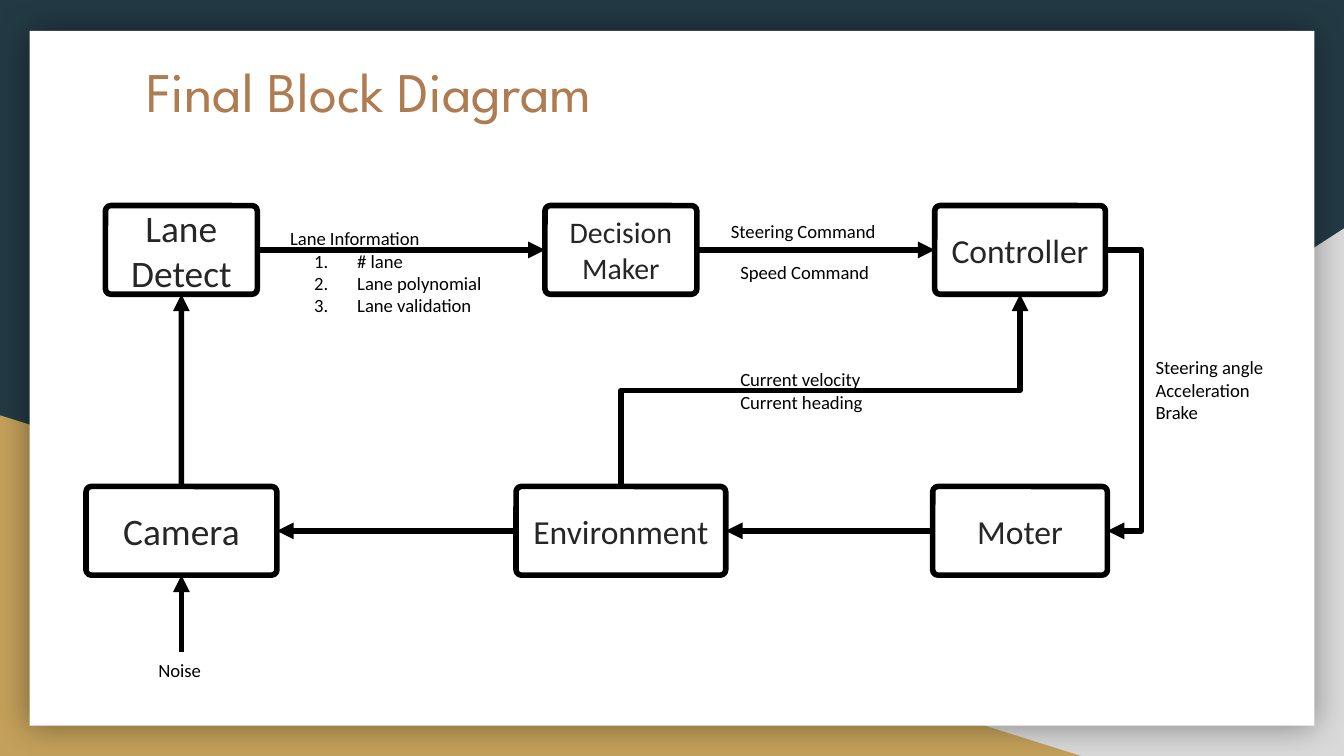
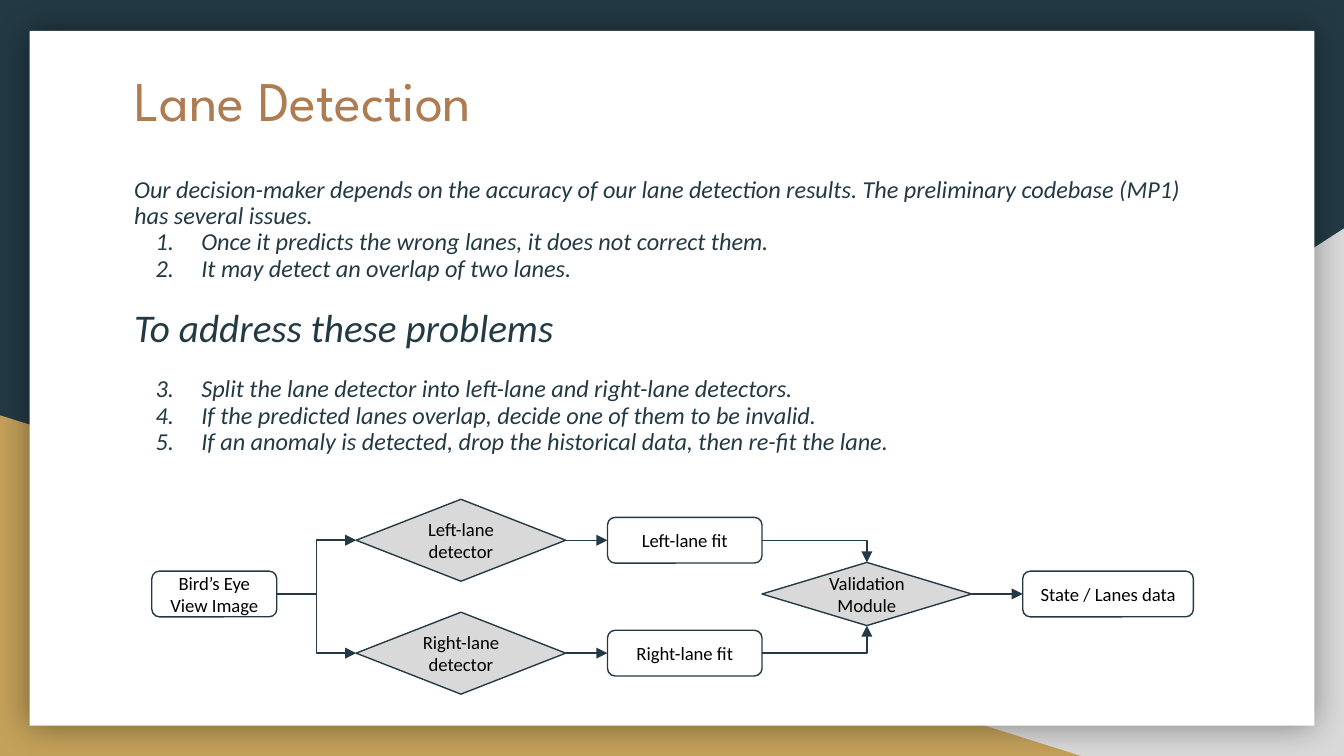
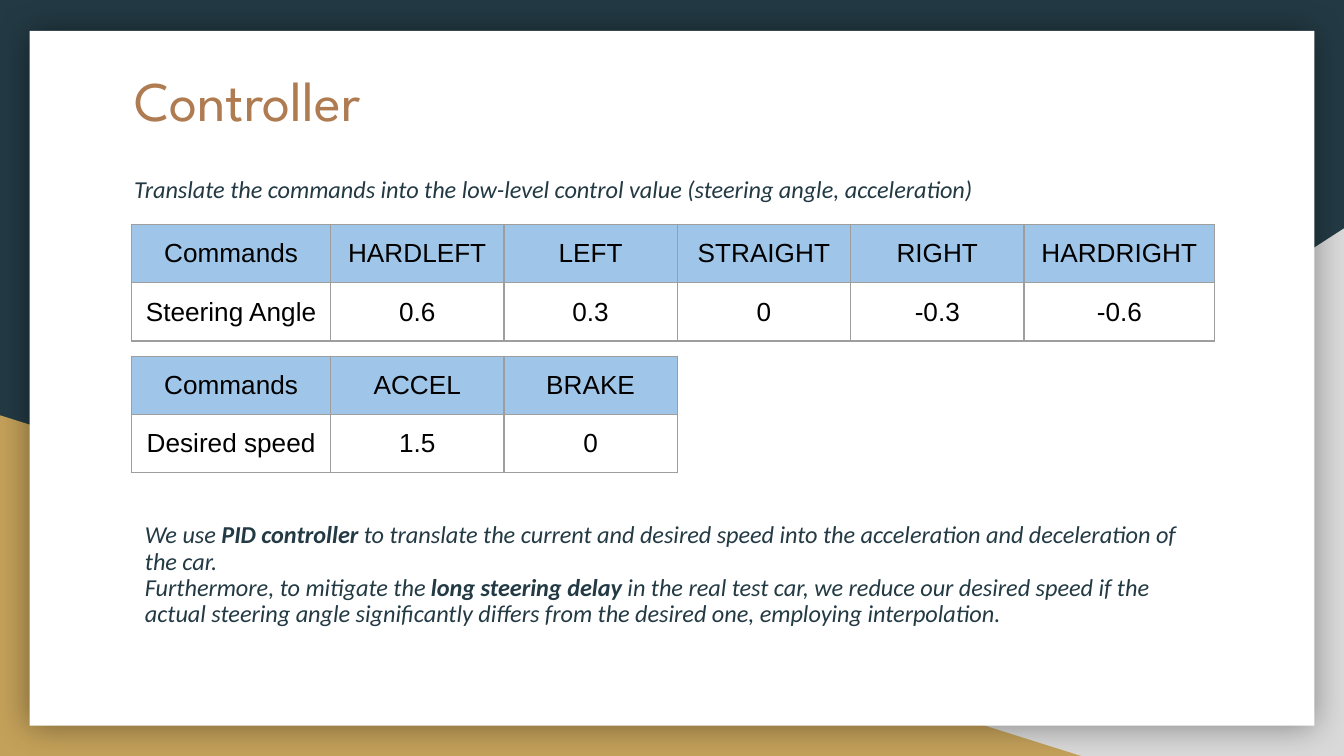
from lxml import etree
from pptx import Presentation
from pptx.dml.color import RGBColor
from pptx.enum.shapes import MSO_CONNECTOR, MSO_SHAPE
from pptx.enum.text import MSO_ANCHOR, PP_ALIGN
from pptx.oxml.ns import qn
from pptx.util import Inches, Pt

NAVY = RGBColor(0x23, 0x3A, 0x44)
GOLD = RGBColor(0xC4, 0xA1, 0x5A)
COPPER = RGBColor(0xAF, 0x7B, 0x51)
GREY = RGBColor(0xD9, 0xD9, 0xD9)
BORDER_GREY = RGBColor(0x9E, 0x9E, 0x9E)
SKY = RGBColor(0x9F, 0xC5, 0xE8)
CHARCOAL = RGBColor(0x26, 0x26, 0x26)
BLACK = RGBColor(0, 0, 0)
WHITE = RGBColor(0xFF, 0xFF, 0xFF)

ROUNDED = MSO_SHAPE.ROUNDED_RECTANGLE
DECISION = MSO_SHAPE.FLOWCHART_DECISION
TRIANGLE = MSO_SHAPE.RIGHT_TRIANGLE
STRAIGHT, ELBOW = MSO_CONNECTOR.STRAIGHT, MSO_CONNECTOR.ELBOW
LEFT, CENTER = PP_ALIGN.LEFT, PP_ALIGN.CENTER
TOP_ANCHOR, MIDDLE = MSO_ANCHOR.TOP, MSO_ANCHOR.MIDDLE
TOP, WEST, BOTTOM, EAST = range(4)


def write(frame, spans, size, color, font="Calibri", align=LEFT, italic=None,
          spacing=None, number=None, hang=0.34):
    """Add one paragraph of (text, bold) spans, numbered if a number is given."""
    frame.word_wrap = True
    para = frame.paragraphs[-1]
    if para.runs:
        para = frame.add_paragraph()
    para.alignment = align
    para.line_spacing = spacing
    if number:
        properties = para._p.get_or_add_pPr()
        properties.set("marL", str(Inches(0.5)))
        properties.set("indent", str(-Inches(hang)))
        etree.SubElement(properties, qn("a:buAutoNum"), type="arabicPeriod",
                         startAt=str(number))
    for text, bold in spans:
        span = para.add_run()
        span.text = text
        span.font.name, span.font.size = font, Pt(size)
        span.font.bold, span.font.italic = bold, italic
        span.font.color.rgb = color
    return para


def link(page, kind, start, start_site, end, end_site, color, weight):
    """Draw an arrow; start is a shape, or an (x, y) point without a site."""
    x, y = (0, 0) if start_site is not None else start
    arrow = page.shapes.add_connector(kind, x, y, x, y)
    if start_site is not None:
        arrow.begin_connect(start, start_site)
    arrow.end_connect(end, end_site)
    arrow.line.color.rgb = color
    arrow.line.width = Pt(weight)
    etree.SubElement(arrow.line._get_or_add_ln(), qn("a:tailEnd"), type="triangle")
    etree.SubElement(arrow.element.spPr, qn("a:effectLst"))
    return arrow


deck = Presentation()
deck.slide_width, deck.slide_height = Inches(10), Inches(5.625)
layout = deck.slide_layouts[5]

# Pages and titles
pages = []
for heading, left, top, height in [("Final Block Diagram", 0.99, 0.32, 0.77),
                                   ("Lane Detection", 0.9, 0.39, 0.9),
                                   ("Controller", 0.9, 0.39, 0.9)]:
    page = deck.slides.add_slide(layout)
    title = page.shapes.title
    title.left, title.top = Inches(left), Inches(top)
    title.width, title.height = Inches(8.21), Inches(height)
    title.text_frame.vertical_anchor = TOP_ANCHOR
    title.text_frame.margin_top = title.text_frame.margin_bottom = Inches(0.1)
    write(title.text_frame, [(heading, None)], 30, COPPER, "League Spartan")
    pages.append(page)
diagram_page, detection_page, controller_page = pages

# Shared backdrop, moved to the master
master = deck.slide_master
master.background.fill.solid()
master.background.fill.fore_color.rgb = NAVY
backdrop = [(TRIANGLE, 3.92, 1.7, 6.08, 3.93, GREY),
            (TRIANGLE, 0, 3.09, 8.06, 2.54, GOLD),
            (MSO_SHAPE.RECTANGLE, 0.22, 0.23, 9.56, 5.17, WHITE)]
for layer, (kind, left, top, width, height, color) in enumerate(backdrop):
    panel = diagram_page.shapes.add_shape(
        kind, Inches(left), Inches(top), Inches(width), Inches(height))
    panel.shadow.inherit = False
    panel.fill.solid()
    panel.fill.fore_color.rgb = color
    panel.line.fill.background()
    if color == GREY:
        panel.element.spPr.find(qn("a:xfrm")).set("flipH", "1")
    master.shapes.element.insert(2 + layer, panel.element)
effects = panel.element.spPr.find(qn("a:effectLst"))
glow = etree.SubElement(effects, qn("a:outerShdw"), blurRad=str(Pt(18)),
                        dist="0", dir="0", algn="ctr", rotWithShape="0")
shade = etree.SubElement(glow, qn("a:srgbClr"), val=str(BLACK))
etree.SubElement(shade, qn("a:alpha"), val="40000")

# Block diagram: name, centre, top, width, text size
blocks = {}
for name, center, top, width, size in [
        ("Lane Detect", 1.35, 1.53, 1.13, 20),
        ("Decision Maker", 4.62, 1.53, 1.13, 16),
        ("Controller", 7.59, 1.53, 1.27, 18),
        ("Camera", 1.35, 3.62, 1.42, 20),
        ("Environment", 4.62, 3.62, 1.56, 18),
        ("Moter", 7.59, 3.62, 1.3, 18)]:
    block = diagram_page.shapes.add_shape(
        ROUNDED, Inches(center - width / 2), Inches(top), Inches(width), Inches(0.66))
    block.adjustments[0] = 0.06
    block.shadow.inherit = False
    block.fill.solid()
    block.fill.fore_color.rgb = WHITE
    block.line.color.rgb = BLACK
    block.line.width = Pt(3)
    block.text_frame.vertical_anchor = MIDDLE
    write(block.text_frame, [(name, None)], size, CHARCOAL, align=CENTER)
    blocks[name] = block

for start, start_site, end, end_site in [
        ("Lane Detect", EAST, "Decision Maker", WEST),
        ("Decision Maker", EAST, "Controller", WEST),
        ("Moter", WEST, "Environment", EAST),
        ("Environment", WEST, "Camera", EAST),
        ("Camera", TOP, "Lane Detect", BOTTOM)]:
    link(diagram_page, STRAIGHT, blocks[start], start_site, blocks[end], end_site,
         BLACK, 3)
link(diagram_page, STRAIGHT, (Inches(1.35), Inches(4.85)), None,
     blocks["Camera"], BOTTOM, BLACK, 3)

# Controller to motor: the elbow swings out to the right of both blocks
swing = link(diagram_page, ELBOW, blocks["Controller"], EAST, blocks["Moter"], EAST,
             BLACK, 3)
guides = swing.element.spPr.find(qn("a:prstGeom")).get_or_add_avLst()
reach = round(Inches(0.27) / swing.width * 100000)
etree.SubElement(guides, qn("a:gd"), name="adj1", fmla=f"val {reach}")

# Environment to controller: the elbow leaves upwards, so its frame is turned
feedback = link(diagram_page, ELBOW, blocks["Environment"], TOP, blocks["Controller"],
                BOTTOM, BLACK, 3)
across, rise = feedback.width, feedback.height
feedback.left += (across - rise) // 2
feedback.top -= (across - rise) // 2
feedback.width, feedback.height = rise, across
frame_xml = feedback.element.spPr.find(qn("a:xfrm"))
frame_xml.attrib.pop("flipV", None)
frame_xml.set("rot", str(270 * 60000))

# Signal labels
for left, top, width, height, lines, numbered in [
        (5.34, 1.59, 1.42, 0.27, ["Steering Command"], False),
        (5.41, 1.89, 1.22, 0.27, ["Speed Command"], False),
        (2.06, 1.64, 1.77, 0.77, ["Lane Information", "# lane", "Lane polynomial",
                                  "Lane validation"], True),
        (5.41, 2.69, 1.22, 0.44, ["Current velocity", "Current heading"], False),
        (8.5, 2.6, 1.13, 0.61, ["Steering angle", "Acceleration", "Brake"], False),
        (1.08, 4.85, 0.54, 0.27, ["Noise"], False)]:
    label = diagram_page.shapes.add_textbox(
        Inches(left), Inches(top), Inches(width), Inches(height))
    for index, line in enumerate(lines):
        write(label.text_frame, [(line, None)], 10, BLACK,
              number=1 if numbered and index else None, hang=0.32)

# Body texts: page, place, paragraphs of (spans, size, number)
bodies = [
    (detection_page, 0.9, 1.22, 8.21, 2.33, [
        ([("Our decision-maker depends on the accuracy of our lane detection results. "
           "The preliminary codebase (MP1) has several issues.", None)], 13, None),
        ([("Once it predicts the wrong lanes, it does not correct them.", None)], 13, 1),
        ([("It may detect an overlap of two lanes.", None)], 13, 1),
        ([("To address these problems", None)], 21, None),
        ([("Split the lane detector into left-lane and right-lane detectors.", None)],
         13, 3),
        ([("If the predicted lanes overlap, decide one of them to be invalid.", None)],
         13, 3),
        ([("If an anomaly is detected, drop the historical data, then re-fit the lane.",
           None)], 13, 3)]),
    (controller_page, 0.9, 1.22, 8.21, 0.4, [
        ([("Translate the commands into the low-level control value "
           "(steering angle, acceleration)", None)], 13, None)]),
    (controller_page, 0.98, 3.79, 8.05, 1.03, [
        ([("We use ", None), ("PID controller", True),
          (" to translate the current and desired speed into the acceleration and "
           "deceleration of the car.", None)], 13, None),
        ([("Furthermore, to mitigate the ", None), ("long steering delay", True),
          (" in the real test car, we reduce our desired speed if the actual steering "
           "angle significantly differs from the desired one, employing interpolation.",
           None)], 13, None)])]
for page, left, top, width, height, paragraphs in bodies:
    body = page.shapes.add_textbox(
        Inches(left), Inches(top), Inches(width), Inches(height))
    body.text_frame.margin_top = body.text_frame.margin_bottom = Inches(0.1)
    for spans, size, number in paragraphs:
        para = write(body.text_frame, spans, size, NAVY, italic=True, spacing=0.9,
                     number=number)
        if size > 13:
            para.space_before = para.space_after = Pt(14)

# Lane detection flow: name, kind, left, middle, width, height
steps = {}
for name, kind, left, middle, width, height in [
        ("Bird’s Eye View Image", ROUNDED, 1.13, 4.42, 0.93, 0.34),
        ("Left-lane detector", DECISION, 2.65, 4.02, 1.56, 0.61),
        ("Right-lane detector", DECISION, 2.65, 4.86, 1.56, 0.61),
        ("Left-lane fit", ROUNDED, 4.52, 4.02, 1.15, 0.34),
        ("Right-lane fit", ROUNDED, 4.52, 4.86, 1.15, 0.34),
        ("Validation Module", DECISION, 5.67, 4.42, 1.56, 0.47),
        ("State / Lanes data", ROUNDED, 7.61, 4.42, 1.27, 0.34)]:
    step = detection_page.shapes.add_shape(
        kind, Inches(left), Inches(middle - height / 2), Inches(width), Inches(height))
    step.shadow.inherit = False
    if kind == DECISION:
        step.fill.solid()
        step.fill.fore_color.rgb = GREY
    else:
        step.fill.background()
    step.line.color.rgb = NAVY
    step.line.width = Pt(0.75)
    step.text_frame.vertical_anchor = MIDDLE
    step.text_frame.margin_top = step.text_frame.margin_bottom = Inches(0.1)
    write(step.text_frame, [(name, None)], 10, BLACK, align=CENTER)
    steps[name] = step

validation = steps["Validation Module"]
for side, entry in [("Left", TOP), ("Right", BOTTOM)]:
    detector, fit = steps[f"{side}-lane detector"], steps[f"{side}-lane fit"]
    link(detection_page, ELBOW, steps["Bird’s Eye View Image"], EAST, detector, WEST,
         NAVY, 0.75)
    link(detection_page, STRAIGHT, detector, EAST, fit, WEST, NAVY, 0.75)
    corner = link(detection_page, ELBOW, fit, EAST, validation, entry, NAVY, 0.75)
    corner.element.spPr.find(qn("a:prstGeom")).set("prst", "bentConnector2")
link(detection_page, STRAIGHT, validation, EAST, steps["State / Lanes data"], WEST,
     NAVY, 0.75)

# Command tables
column_widths = [1.48, 1.29, 1.29, 1.29, 1.29, 1.42]
for top, rows in [
        (1.67, [["Commands", "HARDLEFT", "LEFT", "STRAIGHT", "RIGHT", "HARDRIGHT"],
                ["Steering Angle", "0.6", "0.3", "0", "-0.3", "-0.6"]]),
        (2.65, [["Commands", "ACCEL", "BRAKE"], ["Desired speed", "1.5", "0"]])]:
    widths = column_widths[:len(rows[0])]
    table = controller_page.shapes.add_table(
        len(rows), len(widths), Inches(0.98), Inches(top),
        Inches(sum(widths)), Inches(0.42 * len(rows))).table
    table.first_row = table.horz_banding = False
    for column, width in zip(table.columns, widths):
        column.width = Inches(width)
    for row_index, row in enumerate(rows):
        for column_index, text in enumerate(row):
            cell = table.cell(row_index, column_index)
            cell.vertical_anchor = MIDDLE
            cell.margin_left = cell.margin_right = Inches(0.1)
            cell.margin_top = cell.margin_bottom = Inches(0.1)
            write(cell.text_frame, [(text, None)], 14, BLACK, "Arial", CENTER)
            properties = cell._tc.get_or_add_tcPr()
            for edge in ("a:lnL", "a:lnR", "a:lnT", "a:lnB"):
                border = etree.SubElement(properties, qn(edge), w=str(Pt(0.75)))
                paint = etree.SubElement(border, qn("a:solidFill"))
                etree.SubElement(paint, qn("a:srgbClr"), val=str(BORDER_GREY))
            if row_index == 0:
                cell.fill.solid()
                cell.fill.fore_color.rgb = SKY
            else:
                cell.fill.background()

deck.save("out.pptx")
